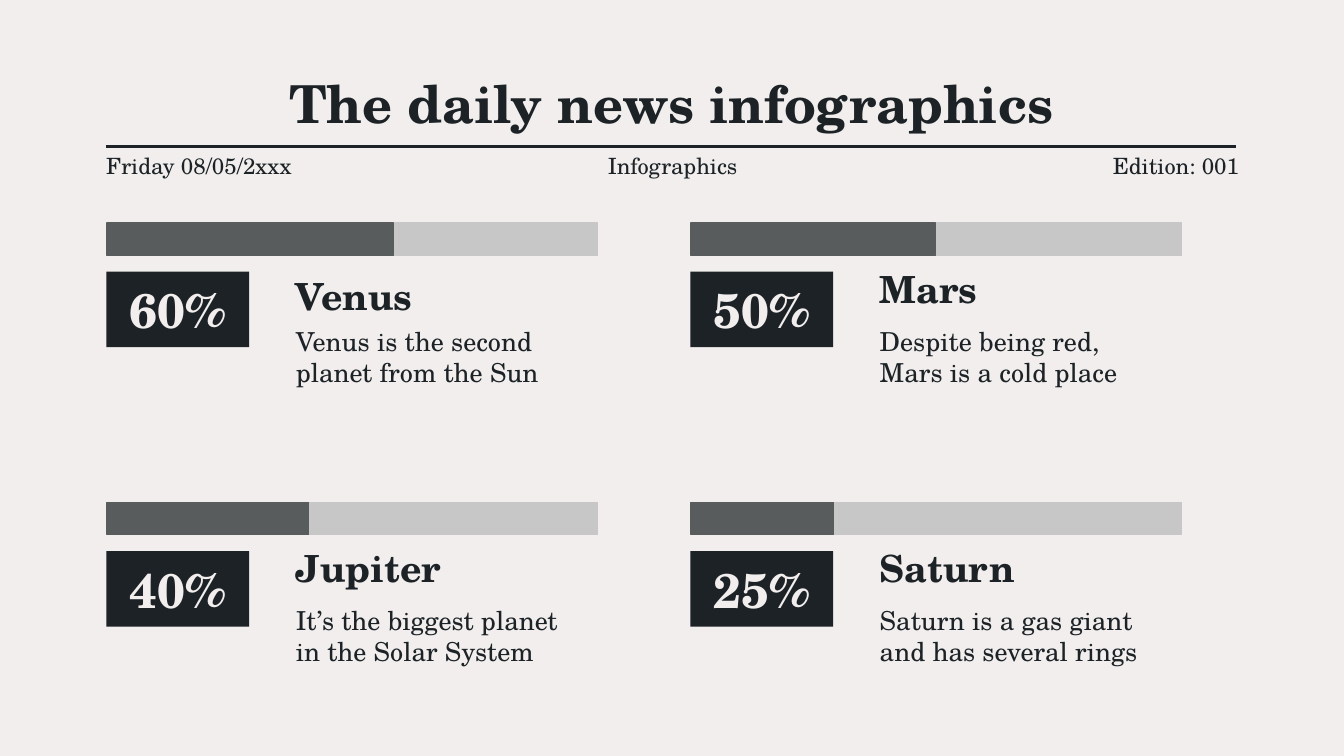
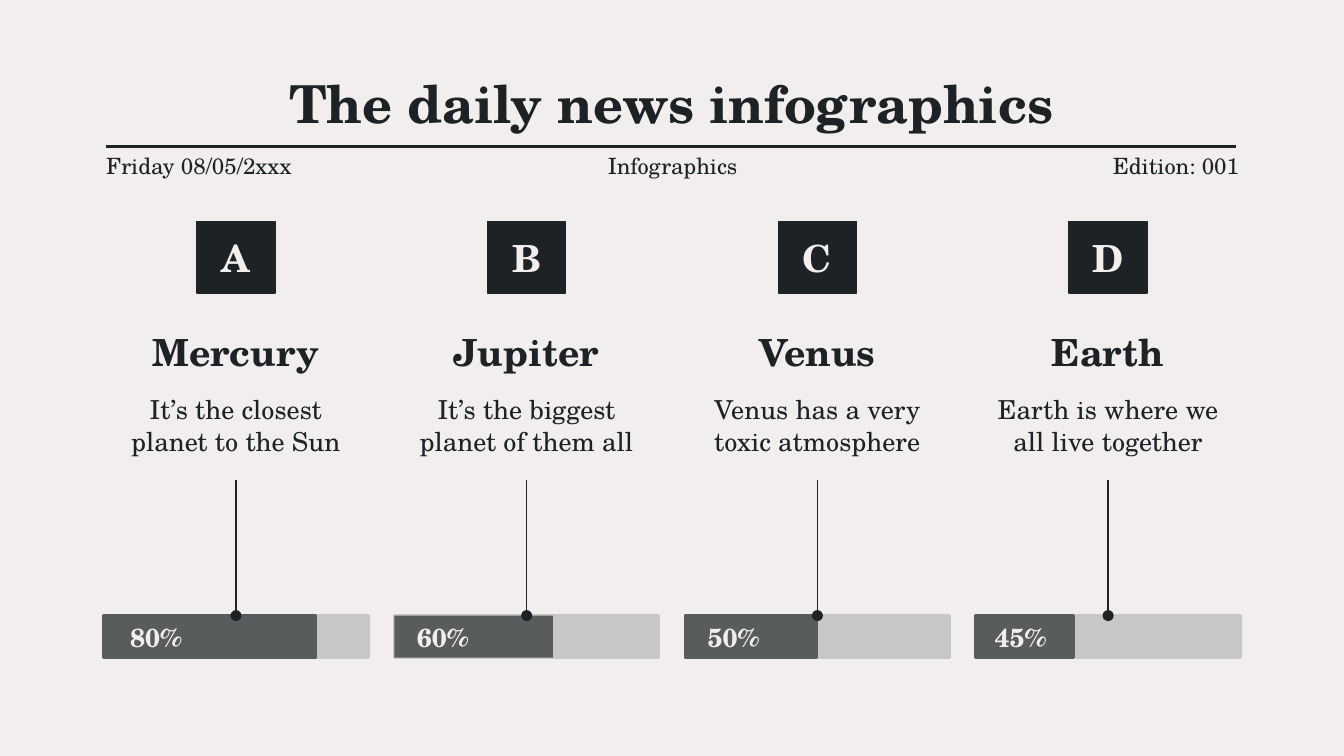
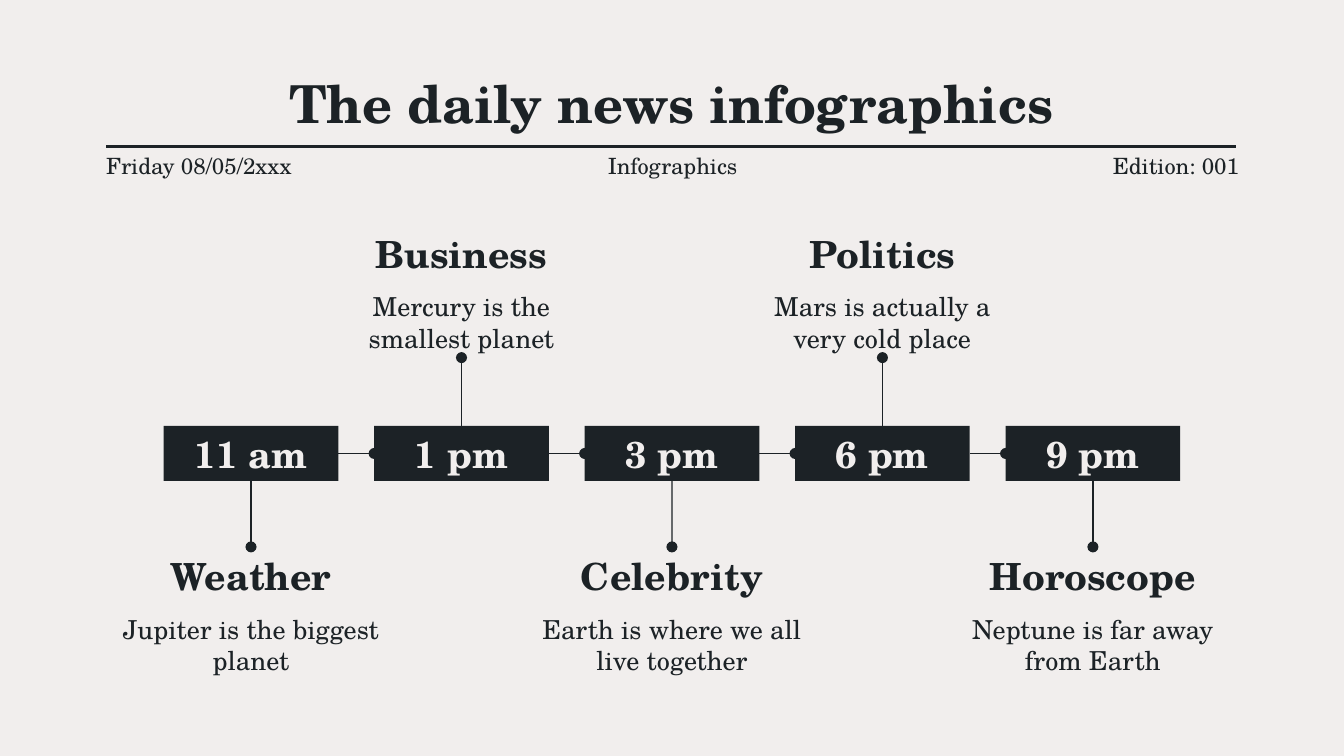
"""Builds three newspaper-style infographic slides about the planets."""
import dataclasses

import lxml.etree
import pptx
import pptx.dml.color
import pptx.enum.shapes
import pptx.enum.text
import pptx.oxml.ns
import pptx.util

Pt = pptx.util.Pt
Color = pptx.dml.color.RGBColor.from_string
Align = pptx.enum.text.PP_ALIGN
Anchor = pptx.enum.text.MSO_ANCHOR
qn = pptx.oxml.ns.qn


@dataclasses.dataclass(frozen=True)
class Theme:
    font: str = "TeX Gyre Schola"
    paper: str = "F1EEED"
    ink: str = "1C2226"
    dark: str = "595C5C"
    pale: str = "C7C7C7"
    title: int = 28
    figure: int = 26
    head: int = 20
    body: int = 14
    small: int = 12


theme = Theme()


def box(page, x, y, w, h, words="", size=theme.body, bold=False, align=Align.CENTER,
        fill=None, edge=0, anchor=Anchor.MIDDLE, inset=7.2):
    place = Pt(x), Pt(y), Pt(w), Pt(h)
    if fill:
        shape = page.shapes.add_shape(pptx.enum.shapes.MSO_SHAPE.RECTANGLE, *place)
        shape.shadow.inherit = False
        shape.fill.solid()
        shape.fill.fore_color.rgb = Color(fill)
        if edge:
            shape.line.color.rgb = Color(fill)
            shape.line.width = Pt(edge)
        else:
            shape.line.fill.background()
    else:
        shape = page.shapes.add_textbox(*place)
    if words:
        frame = shape.text_frame
        frame.word_wrap = True
        frame.vertical_anchor = anchor
        frame.margin_left = frame.margin_right = Pt(inset)
        frame.margin_top = frame.margin_bottom = Pt(inset)
        line = frame.paragraphs[0]
        line.text = words
        line.alignment = align
        line.font.name = theme.font
        line.font.size = Pt(size)
        line.font.bold = bold
        line.font.color.rgb = Color(theme.paper if fill else theme.ink)
    return shape


def link(page, wide, span=(0, 0, 0, 0), joints=None):
    line = page.shapes.add_connector(
        pptx.enum.shapes.MSO_CONNECTOR.STRAIGHT, *[Pt(v) for v in span])
    line.line.color.rgb = Color(theme.ink)
    line.line.width = Pt(wide)
    if joints:
        start, end = joints
        line.begin_connect(*start)
        line.end_connect(*end)
        lxml.etree.SubElement(line.line._get_or_add_ln(), qn("a:tailEnd"), type="oval")
    lxml.etree.SubElement(line._element.spPr, qn("a:effectLst"))


deck = pptx.Presentation()
deck.slide_width, deck.slide_height = Pt(720), Pt(405)
back = deck.slide_master.background.fill
back.solid()
back.fore_color.rgb = Color(theme.paper)

pages = [deck.slides.add_slide(deck.slide_layouts[6]) for _ in range(3)]
for page in pages:
    link(page, 1.5, (56.9, 78.5, 662.4, 78.5))
    box(page, 57.6, 38.2, 604, 33.1, "The daily news infographics", theme.title, True)
    for x, words, align in [
        (56.9, "Friday 08/05/2xxx", Align.LEFT),
        (299.5, "Infographics", Align.CENTER),
        (542.2, "Edition: 001", Align.RIGHT),
    ]:
        box(page, x, 82.1, 121.7, 13.7, words, theme.small, align=align, inset=0)

bars, stems, times = pages

planets = [
    ("Venus", "60%", 153.4, "Venus is the second planet from the Sun", Anchor.TOP),
    ("Mars", "50%", 131, "Despite being red, Mars is a cold place", Anchor.MIDDLE),
    ("Jupiter", "40%", 108, "It’s the biggest planet in the Solar System", Anchor.MIDDLE),
    ("Saturn", "25%", 76.5, "Saturn is a gas giant and has several rings", Anchor.MIDDLE),
]
for i, (name, share, done, fact, anchor) in enumerate(planets):
    row, col = divmod(i, 2)
    x, y = 57.4 + 312.8 * col, 119.5 + 149.7 * row
    box(bars, x, y, 262.8, 17.3, fill=theme.pale, edge=0.75)
    box(bars, x, y, done, 17.3, fill=theme.dark, edge=0.75)
    box(bars, x - 0.4, y + 26, 76.5, 40.5, share, theme.figure, True, fill=theme.ink)
    box(bars, x + 94, y + 19.5, 169.2, 31, name, theme.head, True, Align.LEFT, anchor=anchor)
    box(bars, x + 94, y + 53, 169.2, 36.7, fact, align=Align.LEFT)

columns = [
    ("A", "Mercury", "It’s the closest planet to the Sun", "80%", 113.8, 7.2, 1.5),
    ("B", "Jupiter", "It’s the biggest planet of them all", "60%", 85, 5, 0),
    ("C", "Venus", "Venus has a very toxic atmosphere", "50%", 70.6, 5, 1.5),
    ("D", "Earth", "Earth is where we all live together", "45%", 52.6, 3, 1.5),
]
for i, (mark, name, fact, share, done, shift, edge) in enumerate(columns):
    x = 55.5 + 155.75 * i
    box(stems, x + 50, 118.8, 41.8, 38.2, mark, theme.head, True, fill=theme.ink, edge=0.75)
    box(stems, x, 169.2, 141.8, 32.4, name, theme.head, True, anchor=Anchor.TOP)
    note = box(stems, x, 203.8, 141.8, 53.3, fact, anchor=Anchor.TOP)
    track = box(stems, x, 329.8, 141.8, 22.5, fill=theme.pale, edge=1.5)
    box(stems, x, 329.8, done, 22.5, fill=theme.dark, edge=edge)
    label = box(stems, x + shift, 332.6, 52.6, 17.3, share, bold=True, align=Align.LEFT)
    label.text_frame.paragraphs[0].font.color.rgb = Color(theme.paper)
    link(stems, 0.75, joints=((note, 2), (track, 0)))

events = [
    ("11 am", "Weather", "Jupiter is the biggest planet"),
    ("1 pm", "Business", "Mercury is the smallest planet"),
    ("3 pm", "Celebrity", "Earth is where we all live together"),
    ("6 pm", "Politics", "Mars is actually a very cold place"),
    ("9 pm", "Horoscope", "Neptune is far away from Earth"),
]
last = None
for i, (hour, topic, fact) in enumerate(events):
    x = 87.7 + 112.75 * i
    above = i % 2 == 1
    y = 120.2 if above else 293
    slot = box(times, x, 228.2, 93.6, 29.5, hour, theme.head, True, fill=theme.ink)
    head = box(times, x - 31.3, y, 156.2, 31, topic, theme.head, True)
    note = box(times, x - 31.3, y + 33.2, 156.2, 38.2, fact)
    link(times, 0.75, joints=((slot, 0), (note, 2)) if above else ((slot, 2), (head, 0)))
    if last:
        link(times, 0.75, joints=((last, 3), (slot, 1)))
    last = slot

deck.save("out.pptx")
